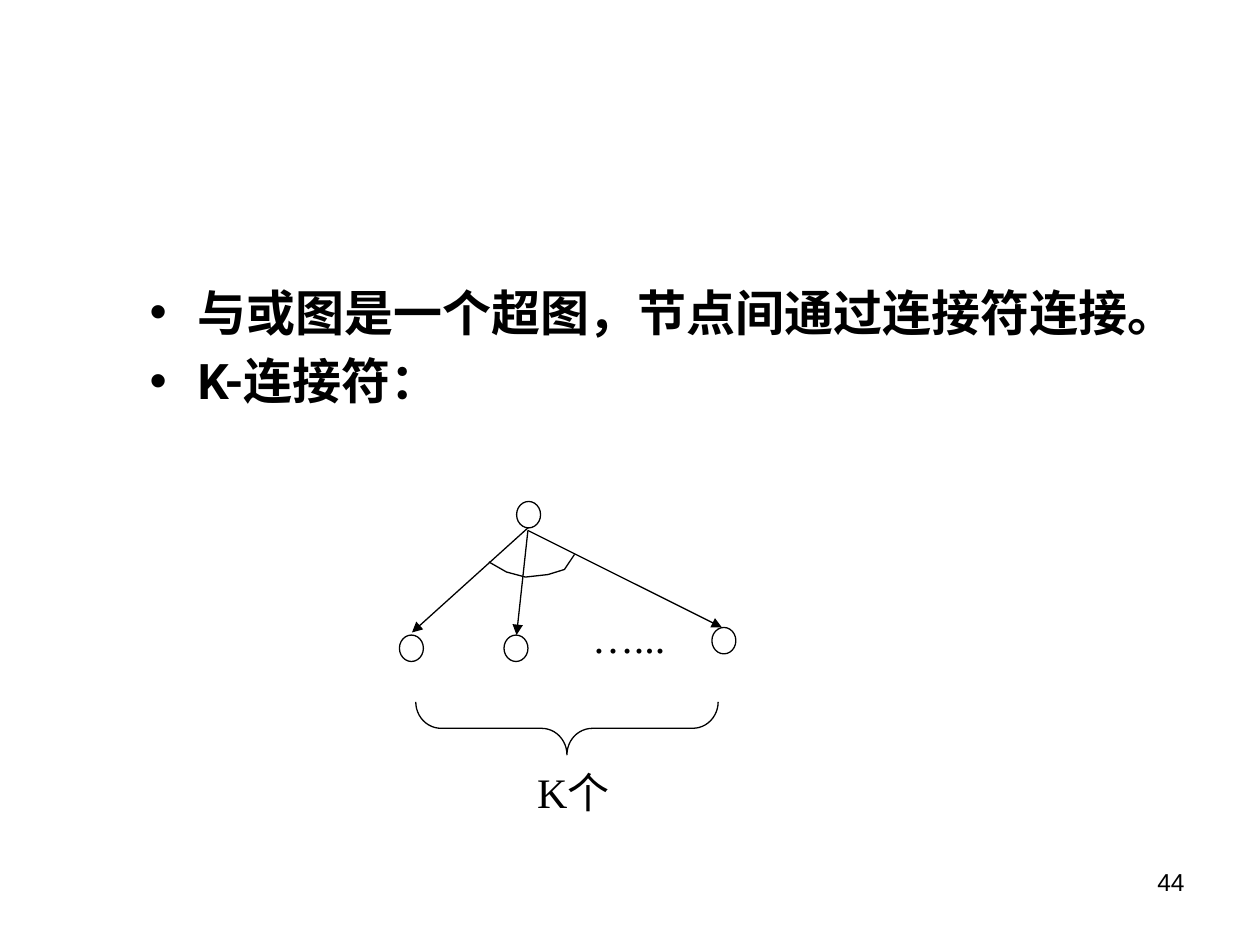
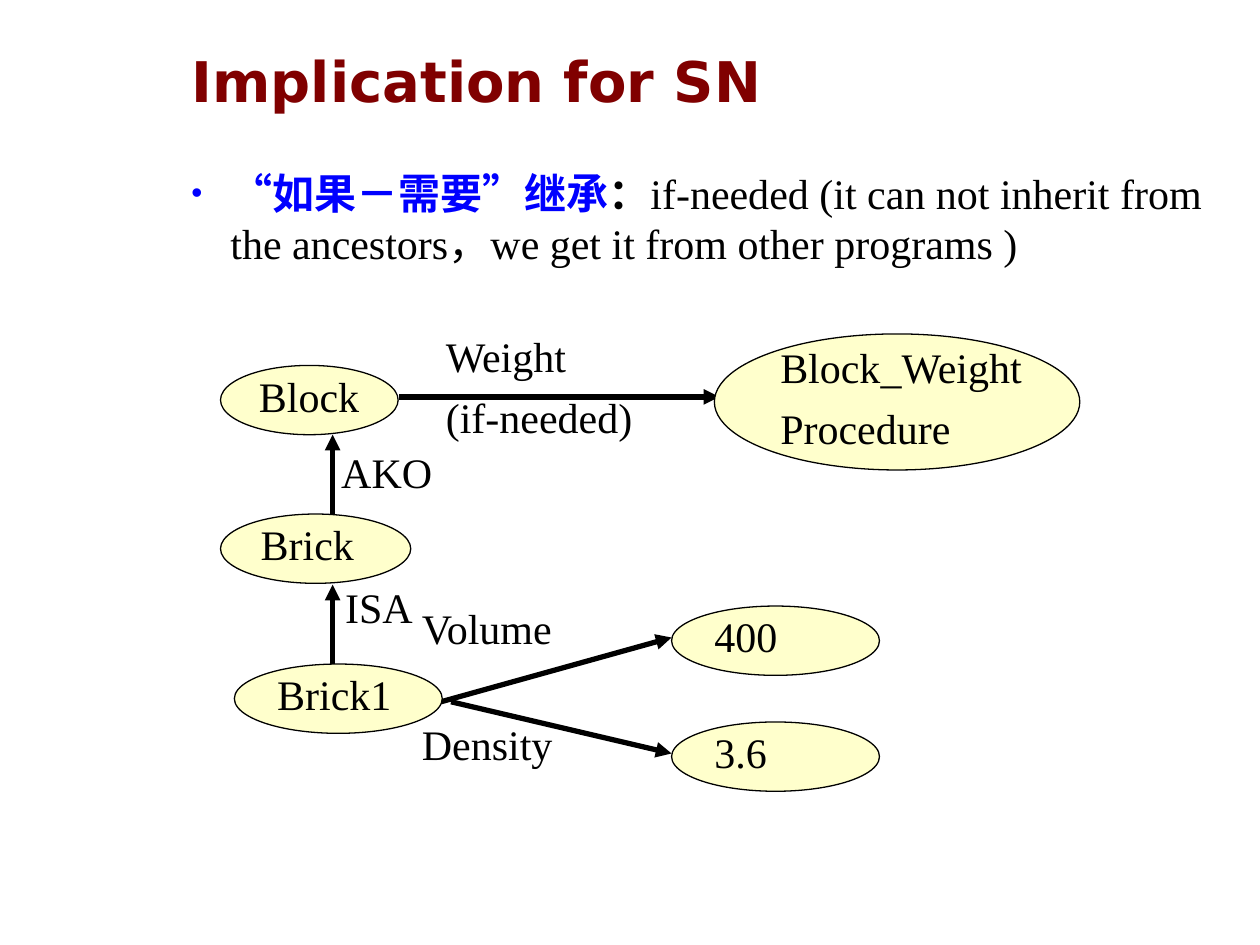
from pptx import Presentation
from pptx.dml.color import RGBColor
from pptx.enum.lang import MSO_LANGUAGE_ID
from pptx.enum.shapes import MSO_CONNECTOR, MSO_SHAPE
from pptx.enum.text import MSO_ANCHOR, PP_ALIGN
from pptx.oxml.ns import qn
from pptx.util import Inches, Pt
from lxml import etree

OVAL = MSO_SHAPE.OVAL
BRACE = MSO_SHAPE.LEFT_BRACE
STRAIGHT = MSO_CONNECTOR.STRAIGHT
LEFT, CENTER, RIGHT = PP_ALIGN.LEFT, PP_ALIGN.CENTER, PP_ALIGN.RIGHT
TOP, MIDDLE = MSO_ANCHOR.TOP, MSO_ANCHOR.MIDDLE
CHINESE = MSO_LANGUAGE_ID.SIMPLIFIED_CHINESE

BLACK = RGBColor(0, 0, 0)
BLUE = RGBColor(0, 0, 255)
MAROON = RGBColor(128, 0, 0)
CREAM = RGBColor(255, 255, 204)

SERIF, SANS = "Times New Roman", "Roboto"
TITLE_FONT, NUMBER_FONT = "DejaVu Sans", "Arial"
LABEL_SIZE = 24
TIGHT = 0.8
THIN, THICK = 0.75, 3


def add_run(paragraph, text, size=LABEL_SIZE, font=SERIF, color=BLACK,
            bold=False, east_asian=None):
    run = paragraph.add_run()
    run.text = text
    run.font.name = font
    run.font.size = Pt(size)
    run.font.bold = bold
    run.font.color.rgb = color
    run.font.language_id = CHINESE
    if east_asian:
        typeface = etree.SubElement(run._r.get_or_add_rPr(), qn("a:ea"))
        typeface.set("typeface", east_asian)


def add_bullet(paragraph, margin, hanging, percent=100):
    properties = paragraph._p.get_or_add_pPr()
    properties.set("marL", str(Inches(margin)))
    properties.set("indent", str(-Inches(hanging)))
    for tag, key, value in (
        ("a:buSzPct", "val", str(percent * 1000)),
        ("a:buFont", "typeface", NUMBER_FONT),
        ("a:buChar", "char", "•"),
    ):
        etree.SubElement(properties, qn(tag)).set(key, value)


def add_frame(slide, left, top, width, height, anchor=TOP):
    box = slide.shapes.add_textbox(
        Inches(left), Inches(top), Inches(width), Inches(height))
    box.text_frame.word_wrap = True
    box.text_frame.vertical_anchor = anchor
    return box.text_frame


def write_lines(frame, lines):
    for index, line in enumerate(lines):
        paragraph = frame.add_paragraph() if index else frame.paragraphs[0]
        paragraph.alignment = LEFT
        paragraph.line_spacing = TIGHT
        if index:
            paragraph.space_before = Pt(LABEL_SIZE / 2)
        add_run(paragraph, line)


def add_label(slide, left, top, width, height, *lines):
    write_lines(add_frame(slide, left, top, width, height), lines)


def add_centered(slide, left, top, width, text):
    paragraph = add_frame(slide, left, top, width, 0.5, MIDDLE).paragraphs[0]
    paragraph.alignment = CENTER
    add_run(paragraph, text, east_asian=SANS)


def outline(shape, fill=None):
    shape.shadow.inherit = False
    shape.line.color.rgb = BLACK
    shape.line.width = Pt(THIN)
    if fill is None:
        shape.fill.background()
    else:
        shape.fill.solid()
        shape.fill.fore_color.rgb = fill


def add_outlined(slide, kind, left, top, width, height, fill=None):
    shape = slide.shapes.add_shape(
        kind, Inches(left), Inches(top), Inches(width), Inches(height))
    outline(shape, fill)
    return shape


def add_concept(slide, left, top, width, height, *lines):
    concept = add_outlined(slide, OVAL, left, top, width, height, CREAM)
    concept.text_frame.word_wrap = False
    concept.text_frame.vertical_anchor = MIDDLE
    write_lines(concept.text_frame, lines)


def add_arrow(slide, start, end, width):
    arrow = slide.shapes.add_connector(
        STRAIGHT, *(Inches(value) for value in (*start, *end)))
    arrow.line.color.rgb = BLACK
    arrow.line.width = Pt(width)
    head = etree.SubElement(arrow.line._get_or_add_ln(), qn("a:tailEnd"))
    head.set("type", "triangle")
    etree.SubElement(arrow._element.spPr, qn("a:effectLst"))


def add_arc(slide, points):
    corners = [(Inches(x), Inches(y)) for x, y in points]
    builder = slide.shapes.build_freeform(*corners[0])
    builder.add_line_segments(corners[1:], close=False)
    outline(builder.convert_to_shape())


def add_page_number(slide, number):
    paragraph = add_frame(slide, 7.17, 6.83, 2.33, 0.5).paragraphs[0]
    paragraph.alignment = RIGHT
    add_run(paragraph, number, 14, NUMBER_FONT)


def set_title(slide, text):
    title = slide.shapes.title
    title.left, title.top = Inches(1.42), Inches(0.25)
    title.width, title.height = Inches(8.3), Inches(0.77)
    title.text_frame.vertical_anchor = MIDDLE
    paragraph = title.text_frame.paragraphs[0]
    paragraph.alignment = LEFT
    add_run(paragraph, text, 32, TITLE_FONT, MAROON, True)


def build_connector_slide(deck):
    slide = deck.slides.add_slide(deck.slide_layouts[6])
    add_page_number(slide, "44")

    body = add_frame(slide, 1.09, 2.19, 8.5, 1.81)
    statements = ("与或图是一个超图，节点间通过连接符连接。", "K-连接符：")
    for index, statement in enumerate(statements):
        paragraph = body.add_paragraph() if index else body.paragraphs[0]
        if index:
            paragraph.space_before = Pt(5.6)
        add_bullet(paragraph, 0.38, 0.38)
        add_run(paragraph, statement, 28, SANS, bold=True, east_asian=SANS)

    for left, top in ((4.1, 3.98), (3.17, 5.04), (4, 5.04), (5.65, 4.98)):
        add_outlined(slide, OVAL, left, top, 0.19, 0.21)
    add_centered(slide, 4.58, 4.8, 0.82, "…...")

    add_arrow(slide, (4.19, 4.19), (3.27, 5.02), THIN)
    for child in ((4.1, 5.04), (5.73, 4.98)):
        add_arrow(slide, (4.19, 4.21), child, THIN)
    add_arc(slide, ((3.88, 4.46), (4.02, 4.54), (4.17, 4.58),
                    (4.35, 4.56), (4.48, 4.52), (4.56, 4.4)))

    brace = add_outlined(slide, BRACE, 4.29, 4.58, 0.42, 2.4)
    brace.rotation = 270
    brace.adjustments[0] = 0.48
    add_centered(slide, 4.16, 6.03, 0.78, "K个")


def build_inheritance_slide(deck):
    slide = deck.slides.add_slide(deck.slide_layouts[5])
    set_title(slide, "Implication for SN")

    rule = add_frame(slide, 0.92, 1.28, 8.75, 1.92).paragraphs[0]
    add_bullet(rule, 0.81, 0.31, 75)
    add_run(rule, "“", color=BLUE, bold=True)
    add_run(rule, "如果－需要”继承", font=SANS, color=BLUE, bold=True)
    add_run(rule, "：", font=SANS, bold=True)
    add_run(rule, "if-needed (it can not inherit from the ancestors，"
                  "we get it from other programs )")

    for start, end in (
        ((2.64, 4.08), (2.64, 3.45)),
        ((2.64, 5.27), (2.64, 4.64)),
        ((3.17, 3.15), (5.71, 3.15)),
        ((3.5, 5.57), (5.33, 5.06)),
        ((3.58, 5.57), (5.33, 5.98)),
    ):
        add_arrow(slide, start, end, THICK)

    for left, top, width, name in (
        (1.75, 2.9, 1.41, "Block"),
        (1.75, 4.08, 1.51, "Brick"),
        (1.86, 5.27, 1.65, "Brick1"),
        (5.33, 4.81, 1.65, "400"),
        (5.33, 5.73, 1.65, "3.6"),
    ):
        add_concept(slide, left, top, width, 0.55, name)
    add_concept(slide, 5.67, 2.65, 2.9, 1.08, "Block_Weight", "Procedure")

    for left, top, width, relation in (
        (2.61, 3.57, 1.58, "AKO"),
        (2.64, 4.64, 1.09, "ISA"),
        (3.25, 4.81, 2.06, "Volume"),
        (3.25, 5.73, 2.06, "Density"),
    ):
        add_label(slide, left, top, width, 0.42, relation)
    add_label(slide, 3.44, 2.65, 2.06, 0.95, "Weight", "(if-needed)")


def main():
    deck = Presentation()
    deck.slide_width, deck.slide_height = Inches(10), Inches(7.5)
    build_connector_slide(deck)
    build_inheritance_slide(deck)
    deck.save("out.pptx")


if __name__ == "__main__":
    main()
